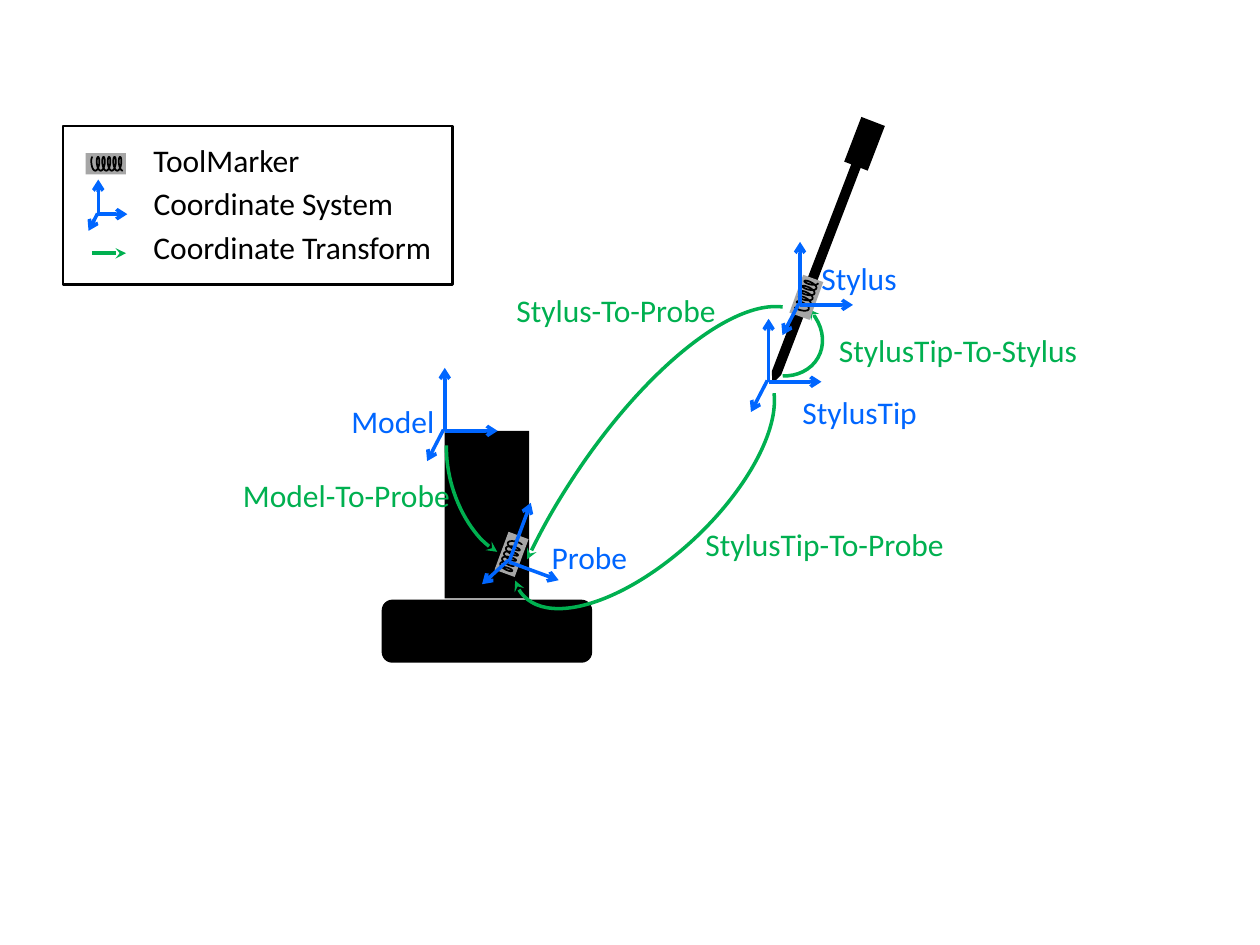
import math

from lxml import etree
from pptx import Presentation
from pptx.dml.color import RGBColor
from pptx.enum.shapes import MSO_CONNECTOR, MSO_SHAPE
from pptx.enum.text import MSO_AUTO_SIZE
from pptx.oxml.ns import qn
from pptx.util import Cm, Pt

RECTANGLE = MSO_SHAPE.RECTANGLE
ROUNDED = MSO_SHAPE.ROUNDED_RECTANGLE
ARC = MSO_SHAPE.ARC
STRAIGHT = MSO_CONNECTOR.STRAIGHT
FIT_SHAPE = MSO_AUTO_SIZE.SHAPE_TO_FIT_TEXT

COLORS = {"black": "000000", "marker": "A6A6A6",
          "system": "0066FF", "transform": "00B050"}


def length(inches):
    return Cm(inches * 2.54)


def turn(x, y, degrees):
    """Rotate a vector clockwise on the slide."""
    angle = math.radians(degrees)
    return (x * math.cos(angle) - y * math.sin(angle),
            x * math.sin(angle) + y * math.cos(angle))


class Diagram:
    """Holds the style and the current slide; positions are in inches."""

    font = {"name": "Calibri", "size": Pt(18)}
    line_width = 2

    def __init__(self, slide):
        self.slide = slide

    def color(self, name):
        return RGBColor.from_string(COLORS[name])

    def paint(self, shape, fill=None, line=None, width=line_width):
        shape.shadow.inherit = False
        if fill:
            shape.fill.solid()
            shape.fill.fore_color.rgb = self.color(fill)
        else:
            shape.fill.background()
        if line:
            self.stroke(shape, line, width)
        else:
            shape.line.fill.background()

    def stroke(self, shape, color, width=line_width, head=None):
        shape.line.color.rgb = self.color(color)
        shape.line.width = Pt(width)
        if head:
            outline = shape._element.spPr.find(qn("a:ln"))
            etree.SubElement(outline, qn("a:tailEnd"), type=head)

    def block(self, kind, box, shapes=None, rotation=0, **paint):
        shapes = shapes or self.slide.shapes
        shape = shapes.add_shape(kind, *map(length, box))
        shape.rotation = rotation
        self.paint(shape, **paint)
        return shape

    def outline(self, center, points, shapes=None, rotation=0, closed=True, **paint):
        """Draw points given relative to a center, then rotate the shape."""
        shapes = shapes or self.slide.shapes
        placed = [(length(center[0] + x), length(center[1] + y)) for x, y in points]
        builder = shapes.build_freeform(*placed[0], scale=1.0)
        builder.add_line_segments(placed[1:], close=closed)
        shape = builder.convert_to_shape()
        shape.rotation = rotation
        self.paint(shape, **paint)

    def arrow(self, start, end, color, head, shapes=None):
        shapes = shapes or self.slide.shapes
        connector = shapes.add_connector(STRAIGHT, *map(length, (*start, *end)))
        self.stroke(connector, color, head=head)
        etree.SubElement(connector._element.spPr, qn("a:effectLst"))

    def curve(self, box, rotation, flips, angles):
        arc = self.block(ARC, box, rotation=rotation)
        for index, angle in enumerate(angles):
            arc.adjustments[index] = angle
        frame = arc._element.spPr.find(qn("a:xfrm"))
        for flip in flips:
            frame.set("flip" + flip, "1")
        self.stroke(arc, "transform", head="stealth")

    def axes(self, origin, scale=1, rotation=0):
        shapes = self.slide.shapes.add_group_shape().shapes
        for start, end in (((0, 0), (0, -0.5)),
                           ((0, 0), (0.42, 0)),
                           ((-0.01, -0.01), (-0.14, 0.24))):
            ends = []
            for x, y in (start, end):
                dx, dy = turn(x * scale, y * scale, rotation)
                ends.append((origin[0] + dx, origin[1] + dy))
            self.arrow(*ends, "system", "arrow", shapes)

    def marker(self, center, rotation=0):
        shapes = self.slide.shapes.add_group_shape().shapes
        x, y = center
        self.block(RECTANGLE, (x - 0.16, y - 0.085, 0.32, 0.17), shapes, rotation,
                   fill="marker")
        # Coil of five and a half loops
        steps, loops, radius, height = 110, 5.5, 0.02, 0.055
        coil = []
        for step in range(steps + 1):
            angle = 2 * math.pi * loops * step / steps
            coil.append((0.24 * step / steps - 0.12 - radius * math.sin(angle),
                         -height * math.cos(angle)))
        dx, dy = turn(0.015, 0, rotation)
        self.outline((x + dx, y + dy), coil, shapes, rotation, closed=False,
                     line="black", width=1)

    def label(self, text, left, top, width, color):
        box = self.slide.shapes.add_textbox(*map(length, (left, top, width, 0.4)))
        box.text_frame.word_wrap = False
        box.text_frame.auto_size = FIT_SHAPE
        span = box.text_frame.paragraphs[0].add_run()
        span.text = text
        for name, value in self.font.items():
            setattr(span.font, name, value)
        span.font.color.rgb = self.color(color)


def main():
    deck = Presentation()
    deck.slide_width, deck.slide_height = length(10), length(7.5)
    diagram = Diagram(deck.slides.add_slide(deck.slide_layouts[6]))

    # Stylus, model and base
    right_side = [(0.04, 1.03), (0.04, -0.73), (0.1, -0.73), (0.1, -1.11)]
    left_side = [(-x, y) for x, y in reversed(right_side)]
    diagram.outline((6.53, 2), [(0, 1.12)] + right_side + left_side,
                    rotation=21, fill="black")
    diagram.block(RECTANGLE, (3.53, 3.42, 0.67, 1.33), fill="black")
    diagram.block(ROUNDED, (3.03, 4.76, 1.67, 0.5), fill="black")

    # Coordinate systems of stylus tip and model
    for origin in ((6.1, 3.03), (3.53, 3.42)):
        diagram.axes(origin)

    # Coordinate transforms: box, rotation, flips, arc angles
    for curve in (
        ((5.82, 2.35, 0.72, 0.62), 210.1, "H", (183.52, 42.69)),
        ((4.38, 2.15, 1.64, 4.29), 212.5, "V", (164.37, 24.35)),
        ((3.57, 3.03, 0.86, 1.42), 163.8, "V", (191.78, 41.34)),
        ((4.51, 2.52, 1.2, 2.62), 226.6, "HV", (167.36, 57.66)),
    ):
        diagram.curve(*curve)

    # Labels
    for label in (
        ("StylusTip-To-Stylus", 6.56, 2.58, 2.11, "transform"),
        ("Stylus-To-Probe", 4, 2.26, 1.8, "transform"),
        ("Model-To-Probe", 1.83, 3.73, 1.86, "transform"),
        ("StylusTip-To-Probe", 5.5, 4.12, 2.11, "transform"),
        ("StylusTip", 6.27, 3.07, 1.12, "system"),
        ("Stylus", 6.42, 2.01, 0.81, "system"),
        ("Probe", 4.28, 4.22, 0.81, "system"),
        ("Model", 2.69, 3.14, 0.87, "system"),
    ):
        diagram.label(*label)

    # Markers with the coordinate systems of stylus and probe
    diagram.marker((6.4, 2.36), 290)
    diagram.axes((6.35, 2.42))
    diagram.marker((4.06, 4.4), 110.2)
    diagram.axes((4.04, 4.46), rotation=20.2)

    # Legend
    diagram.block(RECTANGLE, (0.5, 1, 3.09, 1.26), line="black", width=1.5)
    diagram.marker((0.84, 1.3))
    diagram.axes((0.78, 1.7), scale=0.55)
    diagram.arrow((0.73, 2.01), (1, 2.01), "transform", "stealth")
    for row, (text, width) in enumerate((("ToolMarker", 1.37),
                                         ("Coordinate System", 2.12),
                                         ("Coordinate Transform", 2.43))):
        diagram.label(text, 1.12, 1.07 + 0.345 * row, width, "black")

    deck.save("out.pptx")


if __name__ == "__main__":
    main()
